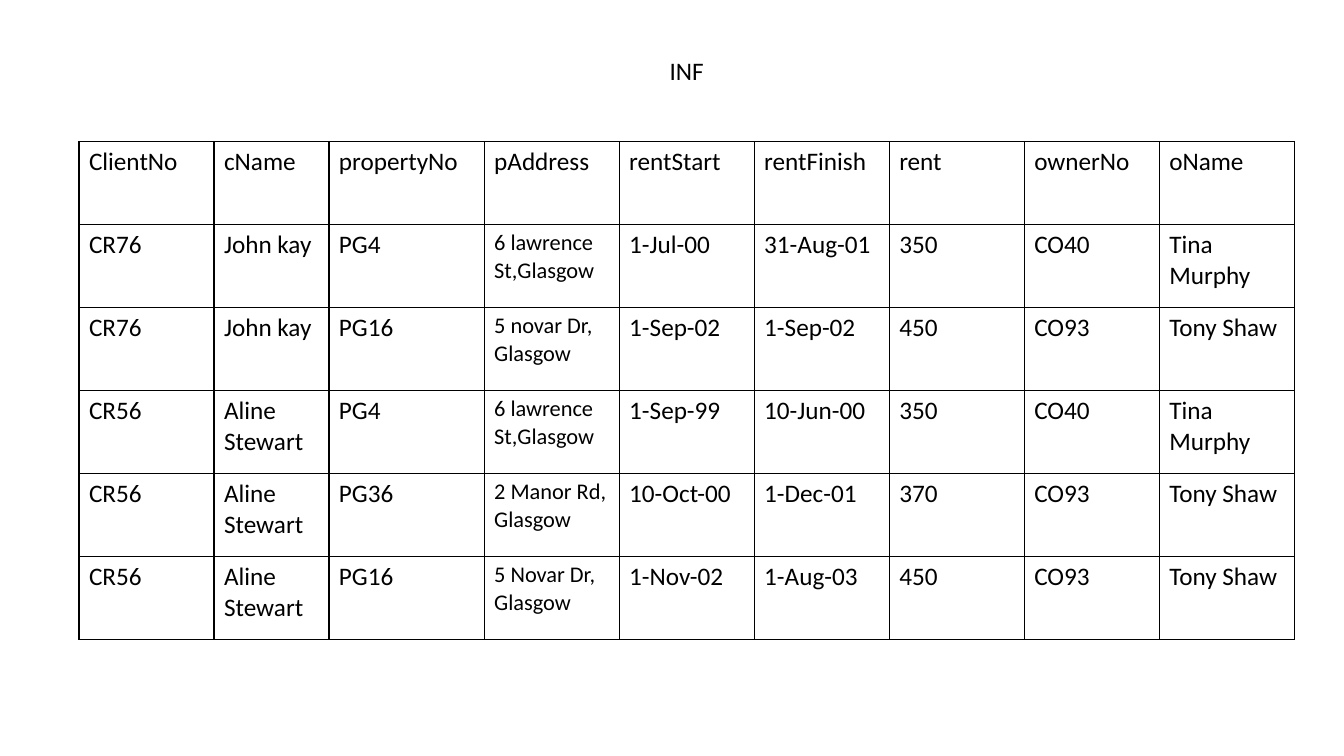
from pptx import Presentation
from pptx.dml.color import RGBColor
from pptx.enum.text import MSO_ANCHOR, MSO_AUTO_SIZE, PP_ALIGN
from pptx.oxml import parse_xml
from pptx.oxml.ns import nsdecls
from pptx.util import Pt

THEME = {
    "ink": RGBColor(0, 0, 0),
    "paper": RGBColor(255, 255, 255),
    "font": "Calibri",
    "text": Pt(18),
    "address": Pt(16),
    "border": Pt(1),
}
LEFT, WIDTH = Pt(56.4), Pt(868.3)
ROW_HEIGHT = Pt(59.28)
COLUMN_WIDTHS = [96.46, 82.1, 110.9] + [96.46] * 6
ADDRESS_COLUMN = 3

RENTALS = [
    ["ClientNo", "cName", "propertyNo", "pAddress", "rentStart", "rentFinish", "rent", "ownerNo", "oName"],
    ["CR76", "John kay", "PG4", "6 lawrence St,Glasgow", "1-Jul-00", "31-Aug-01", "350", "CO40", "Tina Murphy"],
    ["CR76", "John kay", "PG16", "5 novar Dr,\nGlasgow", "1-Sep-02", "1-Sep-02", "450", "CO93", "Tony Shaw"],
    ["CR56", "Aline Stewart", "PG4", "6 lawrence St,Glasgow", "1-Sep-99", "10-Jun-00", "350", "CO40", "Tina Murphy"],
    ["CR56", "Aline Stewart", "PG36", "2 Manor Rd, Glasgow", "10-Oct-00", "1-Dec-01", "370", "CO93", "Tony Shaw"],
    ["CR56", "Aline Stewart", "PG16", "5 Novar Dr,\nGlasgow", "1-Nov-02", "1-Aug-03", "450", "CO93", "Tony Shaw"],
]


def write(frame, text, size, alignment):
    frame.text = text
    for para in frame.paragraphs:
        para.alignment = alignment
        for span in para.runs:
            for name, value in {"name": THEME["font"], "size": size, "bold": False}.items():
                setattr(span.font, name, value)
            span.font.color.rgb = THEME["ink"]


def draw_borders(cell):
    properties = cell._tc.get_or_add_tcPr()
    for position, side in enumerate(["lnL", "lnR", "lnT", "lnB"]):
        line = parse_xml(
            f'<a:{side} {nsdecls("a")} w="{THEME["border"]}"><a:solidFill>'
            f'<a:srgbClr val="{THEME["ink"]}"/></a:solidFill></a:{side}>'
        )
        properties.insert(position, line)


deck = Presentation()
deck.slide_width, deck.slide_height = Pt(960), Pt(540)
page = deck.slides.add_slide(deck.slide_layouts[5])

title = page.shapes.title
for name, value in {"left": LEFT, "top": Pt(36), "width": WIDTH, "height": Pt(29.08)}.items():
    setattr(title, name, value)
title_format = {
    "word_wrap": True,
    "auto_size": MSO_AUTO_SIZE.SHAPE_TO_FIT_TEXT,
    "vertical_anchor": MSO_ANCHOR.TOP,
}
for name, value in title_format.items():
    setattr(title.text_frame, name, value)
write(title.text_frame, "INF", THEME["text"], PP_ALIGN.CENTER)

table = page.shapes.add_table(
    len(RENTALS), len(COLUMN_WIDTHS), LEFT, Pt(101), WIDTH, ROW_HEIGHT * len(RENTALS)
).table
for name, value in {"first_row": False, "horz_banding": False}.items():
    setattr(table, name, value)
for column, width in zip(table.columns, COLUMN_WIDTHS):
    column.width = Pt(width)

for row_index, rental in enumerate(RENTALS):
    table.rows[row_index].height = ROW_HEIGHT
    for column_index, text in enumerate(rental):
        cell = table.cell(row_index, column_index)
        is_address = row_index > 0 and column_index == ADDRESS_COLUMN
        size = THEME["address"] if is_address else THEME["text"]
        write(cell.text_frame, text, size, PP_ALIGN.LEFT)
        cell.fill.solid()
        cell.fill.fore_color.rgb = THEME["paper"]
        draw_borders(cell)

deck.save("out.pptx")
